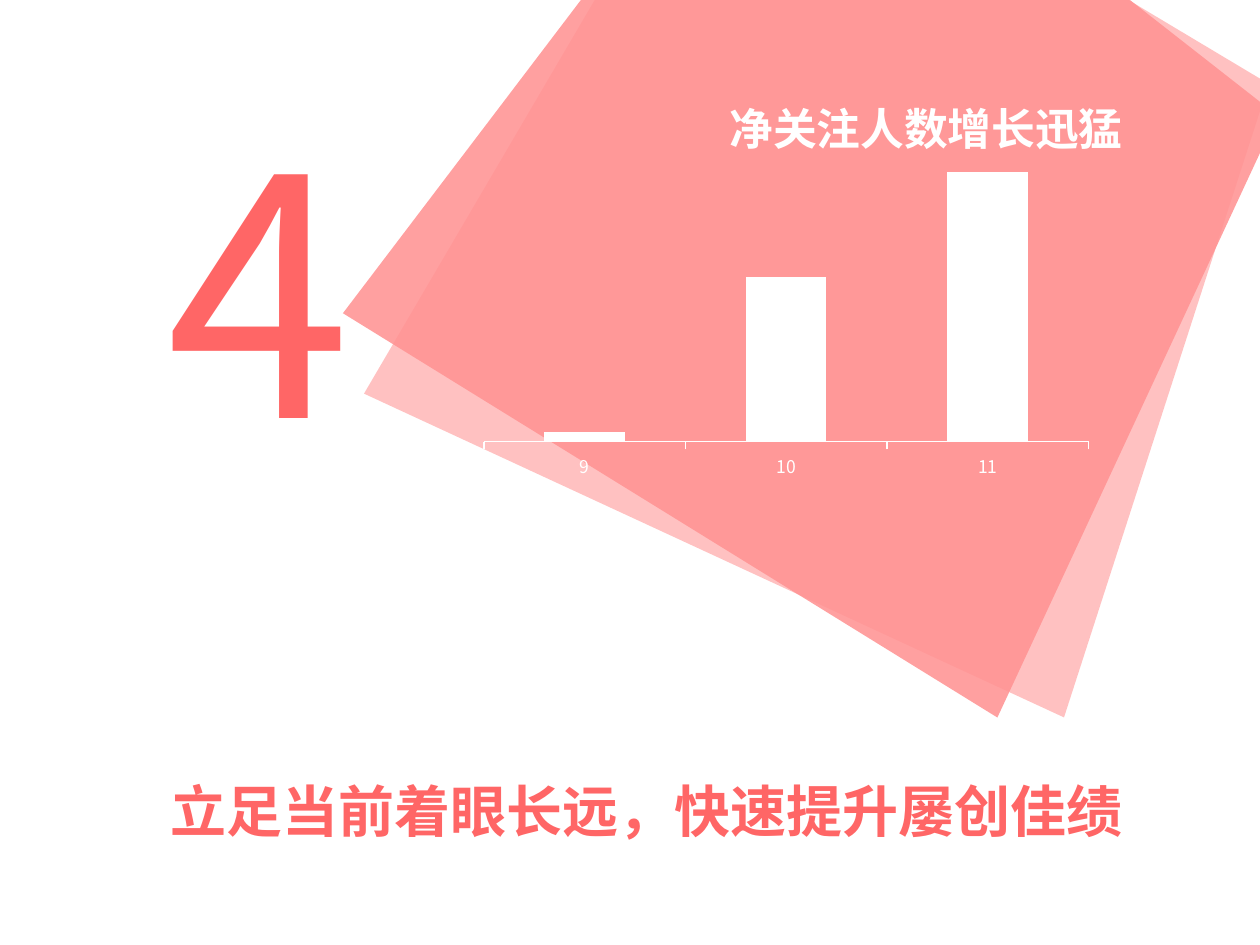
from dataclasses import dataclass

from lxml.etree import SubElement
from pptx import Presentation
from pptx.chart.data import CategoryChartData
from pptx.dml.color import RGBColor
from pptx.enum.chart import XL_CHART_TYPE, XL_TICK_LABEL_POSITION, XL_TICK_MARK
from pptx.enum.text import MSO_ANCHOR, MSO_AUTO_SIZE, PP_ALIGN
from pptx.oxml import parse_xml
from pptx.oxml.ns import nsdecls, qn
from pptx.util import Pt

WHITE = "FFFFFF"
CORAL = "FF6666"
PINK = "FF9393"
FONT = "Noto Sans CJK SC"


@dataclass
class Box:
    left: float
    top: float
    width: float
    height: float


@dataclass
class TextBlock:
    text: str
    box: Box
    size: float
    color: str
    font: str = FONT
    bold: bool = True
    align: PP_ALIGN = PP_ALIGN.RIGHT
    anchor: MSO_ANCHOR = MSO_ANCHOR.TOP


@dataclass
class Sheet:
    corners: list[tuple[float, float]]
    opacity: int


SHEETS = [
    Sheet([(419, -135.4), (725, 48.2), (607.7, 409.7), (208.1, 225.4)], 57),
    Sheet([(448.6, -154.1), (730.1, 65.5), (569.5, 410.4), (195.8, 178.6)], 88),
]
TEXT_BLOCKS = [
    TextBlock("4", Box(87.8, -57.6, 51.1, 441.4), 190, CORAL, "Noto Sans CJK JP",
              False, PP_ALIGN.CENTER, MSO_ANCHOR.MIDDLE),
    TextBlock("净关注人数增长迅猛", Box(308.9, 54.7, 339.8, 238.3), 25, WHITE),
    TextBlock("立足当前着眼长远，快速提升屡创佳绩", Box(36, 439.9, 613.4, 73.4), 32, CORAL),
]
CHART_BOX = Box(269.3, 82.8, 360, 195.1)


def rgb(color: str) -> RGBColor:
    return RGBColor.from_string(color)


def place(box: Box) -> tuple:
    return Pt(box.left), Pt(box.top), Pt(box.width), Pt(box.height)


def draw_sheet(slide, sheet: Sheet, depth: int) -> None:
    """Draw a translucent sheet behind the placeholders."""
    start, *others = sheet.corners
    builder = slide.shapes.build_freeform(*start, scale=Pt(1))
    builder.add_line_segments(others, close=True)
    shape = builder.convert_to_shape()
    shape.shadow.inherit = False
    shape.line.fill.background()
    shape.fill.solid()
    shape.fill.fore_color.rgb = rgb(PINK)
    color = shape.fill._xPr.find(f"{qn('a:solidFill')}/{qn('a:srgbClr')}")
    SubElement(color, qn("a:alpha"), val=str(sheet.opacity * 1000))
    slide.shapes._spTree.insert(2 + depth, shape._element)


def fill_placeholder(placeholder, block: TextBlock) -> None:
    placeholder.left, placeholder.top, placeholder.width, placeholder.height = place(block.box)
    frame = placeholder.text_frame
    frame.text = block.text
    frame.word_wrap = True
    frame.auto_size = MSO_AUTO_SIZE.NONE
    frame.vertical_anchor = block.anchor
    paragraph = frame.paragraphs[0]
    paragraph.alignment = block.align
    paragraph.space_before = Pt(0)
    properties = paragraph._p.get_or_add_pPr()
    properties.set("marL", "0")
    properties.set("indent", "0")
    SubElement(properties, qn("a:buNone"))
    font = paragraph.runs[0].font
    font.size = Pt(block.size)
    font.bold = block.bold
    font.color.rgb = rgb(block.color)
    font.name = block.font
    latin = font._element.find(qn("a:latin"))
    latin.addnext(parse_xml(f'<a:ea {nsdecls("a")} typeface="{block.font}"/>'))


def set_plot_area(chart, x: float, y: float, width: float, height: float) -> None:
    """Fix the inner plot area, in fractions of the chart."""
    plot_area = chart._chartSpace.chart.plotArea
    for old in plot_area.findall(qn("c:layout")):
        plot_area.remove(old)
    plot_area.insert(0, parse_xml(
        f'<c:layout {nsdecls("c")}><c:manualLayout><c:layoutTarget val="inner"/>'
        '<c:xMode val="edge"/><c:yMode val="edge"/>'
        f'<c:x val="{x}"/><c:y val="{y}"/><c:w val="{width}"/><c:h val="{height}"/>'
        '</c:manualLayout></c:layout>'))


def draw_chart(slide) -> None:
    data = CategoryChartData()
    data.categories = ["9", "10", "11"]
    data.add_series("Series 1", (48, 79, 100))
    chart = slide.shapes.add_chart(
        XL_CHART_TYPE.COLUMN_CLUSTERED, *place(CHART_BOX), data).chart
    chart.has_legend = False
    chart.has_title = False
    chart.font.name = FONT
    chart.font.size = Pt(10)
    chart.font.color.rgb = rgb(WHITE)

    plot = chart.plots[0]
    plot.gap_width = 150
    plot.vary_by_categories = False
    bars = plot.series[0].format
    bars.fill.solid()
    bars.fill.fore_color.rgb = rgb(WHITE)

    months = chart.category_axis
    months.has_major_gridlines = False
    months.major_tick_mark = XL_TICK_MARK.OUTSIDE
    months.tick_label_position = XL_TICK_LABEL_POSITION.LOW
    months.format.line.color.rgb = rgb(WHITE)
    months.format.line.width = Pt(0.75)

    values = chart.value_axis
    values.minimum_scale, values.maximum_scale = 46, 104
    values.major_unit = 62
    values.has_major_gridlines = False
    values.visible = False
    set_plot_area(chart, 0.02, 0.02, 0.96, 0.85)


def main() -> None:
    presentation = Presentation()
    presentation.slide_width, presentation.slide_height = Pt(720), Pt(540)
    two_content = presentation.slide_layouts[3]
    slide = presentation.slides.add_slide(two_content)
    for depth, sheet in enumerate(SHEETS):
        draw_sheet(slide, sheet, depth)
    for placeholder, block in zip(slide.placeholders, TEXT_BLOCKS):
        fill_placeholder(placeholder, block)
    draw_chart(slide)
    presentation.save("out.pptx")


if __name__ == "__main__":
    main()
